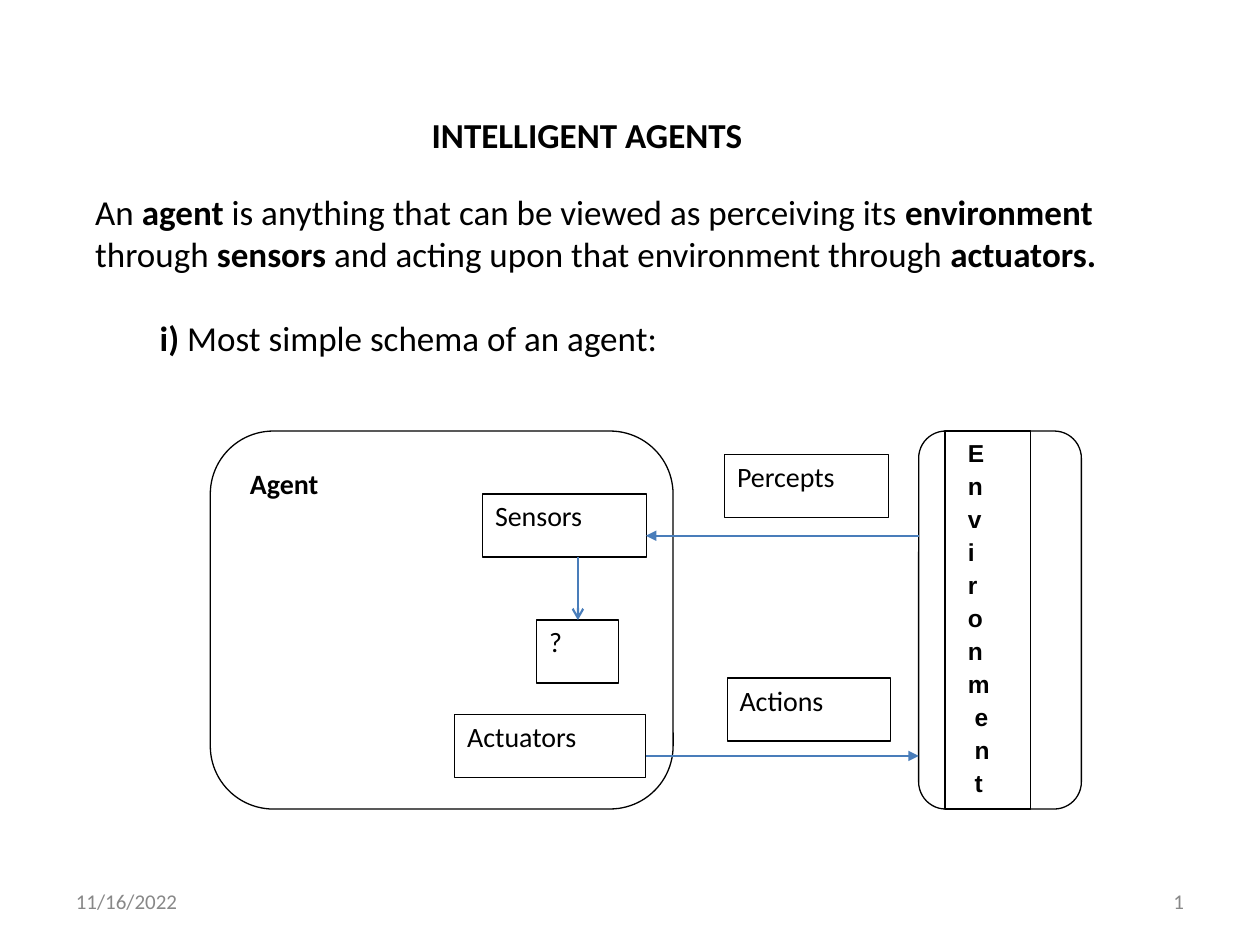
from pptx import Presentation
from pptx import util as u
from pptx.dml import color as colors
from pptx.enum import shapes, text
from pptx.oxml import ns, parse_xml

INK, ARROW, FOOTER = "000000", "497DBA", "888888"
BOX_HEIGHT = 1.27


def rgb(value):
    return colors.RGBColor.from_string(value)


def format_runs(paragraph, size, bold=False, color=INK, font="Calibri"):
    for run in paragraph.runs:
        run.font.size = u.Pt(size)
        run.font.bold = bold
        run.font.name = font
        run.font.color.rgb = rgb(color)


def set_frame(frame, left=0, top=0):
    frame.word_wrap = True
    frame.auto_size = text.MSO_AUTO_SIZE.NONE
    frame.vertical_anchor = text.MSO_ANCHOR.TOP
    frame.margin_left, frame.margin_top = u.Cm(left), u.Cm(top)
    frame.margin_right = frame.margin_bottom = 0


def add_text(slide, left, top, width, height, words, size, bold=False, color=INK):
    shape = slide.shapes.add_textbox(*map(u.Cm, (left, top, width, height)))
    set_frame(shape.text_frame)
    shape.text_frame.text = words
    format_runs(shape.text_frame.paragraphs[0], size, bold, color)
    return shape


def add_box(slide, left, top, width, height=BOX_HEIGHT, label="", rounded=False):
    kind = shapes.MSO_SHAPE.ROUNDED_RECTANGLE if rounded else shapes.MSO_SHAPE.RECTANGLE
    shape = slide.shapes.add_shape(kind, *map(u.Cm, (left, top, width, height)))
    shape.shadow.inherit = False
    shape.fill.background()
    shape.line.color.rgb = rgb(INK)
    shape.line.width = u.Pt(0.75)
    if label:
        set_frame(shape.text_frame, 0.25, 0.1)
        shape.text_frame.text = label
        paragraph = shape.text_frame.paragraphs[0]
        paragraph.alignment = text.PP_ALIGN.LEFT
        format_runs(paragraph, 16)
    return shape


def add_arrow(slide, start_x, start_y, end_x, end_y, head="triangle"):
    connector = slide.shapes.add_connector(
        shapes.MSO_CONNECTOR.STRAIGHT, *map(u.Cm, (start_x, start_y, end_x, end_y)))
    connector.line.color.rgb = rgb(ARROW)
    connector.line.width = u.Pt(1.25)
    connector.line._get_or_add_ln().append(
        parse_xml(f'<a:tailEnd {ns.nsdecls("a")} type="{head}" w="med" len="med"/>'))
    connector._element.spPr.append(parse_xml(f'<a:effectLst {ns.nsdecls("a")}/>'))


def place_title(slide, left, top, width, height):
    title = slide.shapes.title
    title.left, title.top, title.width, title.height = map(u.Cm, (left, top, width, height))
    set_frame(title.text_frame, top=0.03)
    title.text_frame.text = "INTELLIGENT AGENTS"
    paragraph = title.text_frame.paragraphs[0]
    paragraph.alignment = text.PP_ALIGN.CENTER
    format_runs(paragraph, 20, True)


def add_definition(slide, left, top, width, height):
    frame = slide.shapes.add_textbox(*map(u.Cm, (left, top, width, height))).text_frame
    set_frame(frame, top=0.28)
    definition = [
        ("An ", False), ("agent ", True),
        ("is anything that can be viewed as perceiving its ", False),
        ("environment ", True), ("through ", False), ("sensors ", True),
        ("and acting upon that environment through ", False), ("actuators.", True)]
    schema = [("i) ", True), ("Most simple schema of an agent:", False)]
    for paragraph, parts in ((frame.paragraphs[0], definition), (frame.add_paragraph(), schema)):
        for words, bold in parts:
            paragraph.add_run().text = words
        format_runs(paragraph, 20)
        for run, (_, bold) in zip(paragraph.runs, parts):
            run.font.bold = bold
    paragraph.space_before = u.Pt(24)
    paragraph._p.get_or_add_pPr().set("marL", str(u.Cm(1.3)))


def add_agent(slide, left, top, width, height):
    add_box(slide, left, top, width, height, rounded=True)
    add_text(slide, left + 0.8, top + 0.72, 2, 0.74, "Agent", 16, True)
    parts = (("Sensors", 5.49, 1.27, 3.3), ("?", 6.58, 3.81, 1.65), ("Actuators", 4.93, 5.72, 3.84))
    for label, x, y, part_width in parts:
        add_box(slide, left + x, top + y, part_width, label=label)
    add_arrow(slide, left + 7.41, top + 2.54, left + 7.41, top + 3.81, "arrow")


def add_exchange(slide, left, top, width):
    right = left + width
    add_box(slide, left + 1.59, top + 0.48, 3.3, label="Percepts")
    add_arrow(slide, right, top + 2.11, left, top + 2.11)
    add_box(slide, left + 1.64, top + 4.98, 3.3, label="Actions")
    add_arrow(slide, left, top + 6.55, right, top + 6.55)


def add_environment(slide, left, top, width, height):
    add_box(slide, left, top, width, height, rounded=True)
    frame = add_box(slide, left + 0.53, top, 1.73, height).text_frame
    set_frame(frame, 0.46, 0.15)
    frame.text = "\n".join(("E", "\v".join("nvironm"), "\v".join("ent")))
    for paragraph in frame.paragraphs:
        paragraph.alignment = text.PP_ALIGN.LEFT
        paragraph.line_spacing = 1.12
        format_runs(paragraph, 14, True, font="Arial")
    frame.paragraphs[0].line_spacing = 1.0
    paragraph._p.get_or_add_pPr().set("marL", str(u.Cm(0.14)))


def add_footer(slide, left, top, width, height):
    add_text(slide, left, top, 3, height, "11/16/2022", 12, color=FOOTER)
    number = add_text(slide, left + width - 1, top, 1, height, "1", 12, color=FOOTER)
    number.text_frame.paragraphs[0].alignment = text.PP_ALIGN.RIGHT


def build_slide(presentation):
    slide = presentation.slides.add_slide(presentation.slide_layouts[5])
    place_title(slide, 2.13, 2.26, 19.41, 0.89)
    add_definition(slide, 1.92, 3.56, 21.59, 3.71)
    add_agent(slide, 4.24, 8.69, 9.33, 7.62)
    add_environment(slide, 18.52, 8.69, 3.28, 7.62)
    add_exchange(slide, 13.02, 8.69, 5.5)
    add_footer(slide, 1.53, 17.92, 22.34, 0.48)


presentation = Presentation()
presentation.slide_width, presentation.slide_height = u.Cm(25.4), u.Cm(19.05)
build_slide(presentation)
presentation.save("out.pptx")
